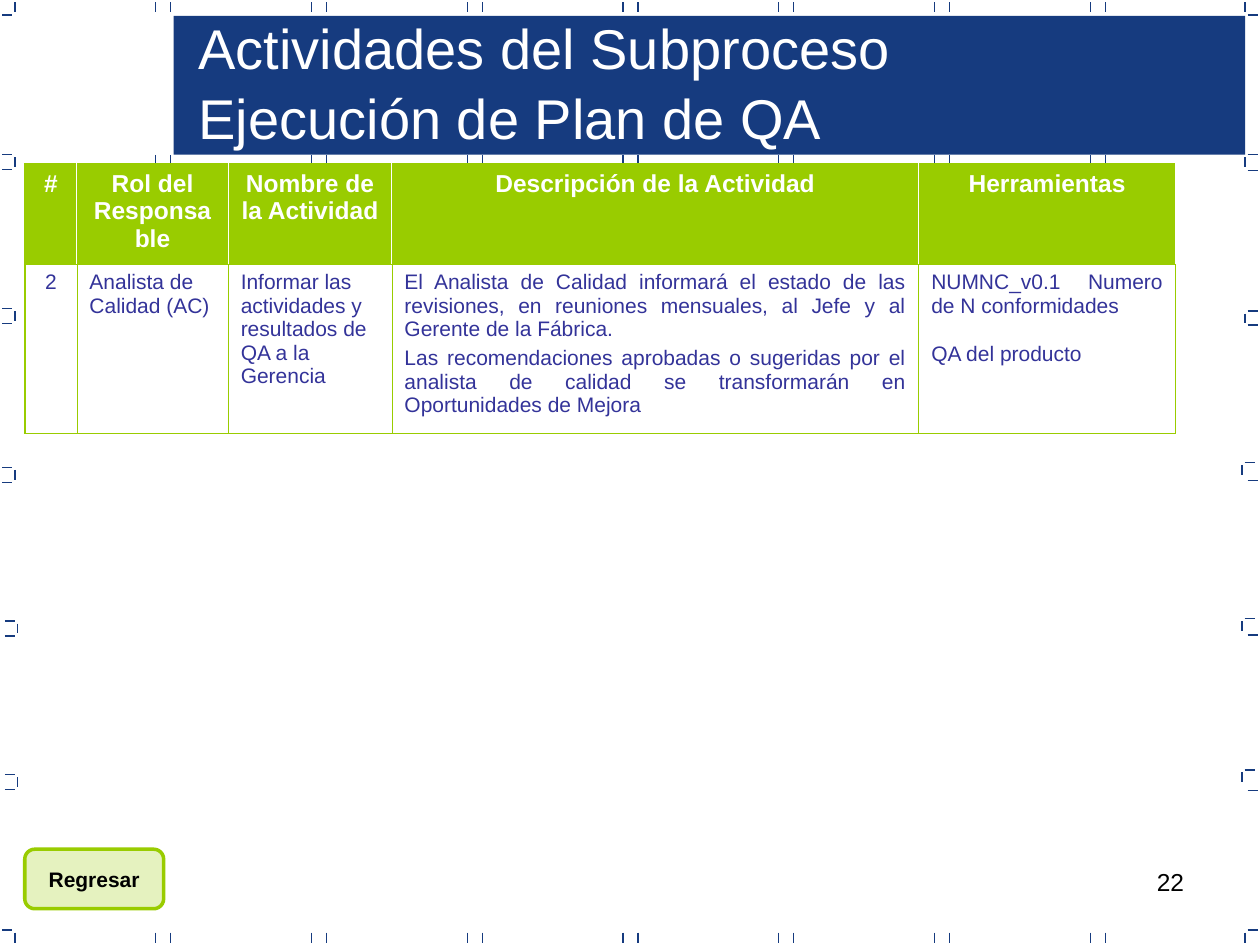
from lxml import etree
from pptx import Presentation
from pptx.dml.color import RGBColor
from pptx.enum.shapes import MSO_CONNECTOR, MSO_SHAPE
from pptx.enum.text import MSO_ANCHOR, MSO_AUTO_SIZE, PP_ALIGN
from pptx.oxml.ns import qn
from pptx.util import Cm, Pt

LEFT, CENTER, RIGHT, JUSTIFY = PP_ALIGN.LEFT, PP_ALIGN.CENTER, PP_ALIGN.RIGHT, PP_ALIGN.JUSTIFY
TOP, MIDDLE = MSO_ANCHOR.TOP, MSO_ANCHOR.MIDDLE
STRAIGHT = MSO_CONNECTOR.STRAIGHT
RECTANGLE, BUTTON = MSO_SHAPE.RECTANGLE, MSO_SHAPE.FLOWCHART_ALTERNATE_PROCESS
FIXED_SIZE = MSO_AUTO_SIZE.NONE

COLORS = {"navy": "163B7F", "green": "99CC00", "indigo": "333399",
          "white": "FFFFFF", "black": "000000"}

# Frame marks, in cm
TICK, GAP, PITCH = 0.2, 0.05, 3.14
MARK_WIDTH, MARK_HEIGHT = TICK + GAP, TICK + 2 * GAP
LEFT_MARKS = [(0.05, 3.12), (0.05, 6.22), (0.05, 9.42), (0.1, 12.52), (0.1, 15.62)]
RIGHT_MARKS = [(25.1, 3.12, 3.43), (25.1, 6.27, 6.55), (25.04, 9.32, 9.68),
               (25.04, 12.47, 12.8), (25.04, 15.52, 15.93)]

HEADERS = ["#", "Rol del Responsable", "Nombre de la Actividad",
           "Descripción de la Actividad", "Herramientas"]
# Lines, alignment and space between paragraphs of each body cell
ACTIVITY = [
    (["2"], CENTER, 0),
    (["Analista de Calidad (AC)"], LEFT, 0),
    (["Informar las actividades y resultados de QA a la Gerencia"], LEFT, 0),
    (["El Analista de Calidad informará el estado de las revisiones, en reuniones "
      "mensuales, al Jefe y al Gerente de la Fábrica.",
      "Las recomendaciones aprobadas o sugeridas por el analista de calidad se "
      "transformarán en Oportunidades de Mejora"], JUSTIFY, 3),
    (["NUMNC_v0.1 Numero de N conformidades", "QA del producto"], JUSTIFY, 14.2),
]


def color(name):
    return RGBColor.from_string(COLORS[name])


def write_text(frame, lines, size=12, ink="black", bold=False, align=LEFT,
               gap=0, spacing=None):
    """Write each line as a paragraph, with a gap between paragraphs."""
    for index, line in enumerate(lines):
        paragraph = frame.add_paragraph() if index else frame.paragraphs[0]
        paragraph.alignment = align
        if index and gap:
            paragraph.space_before = Pt(gap)
        if spacing:
            paragraph.line_spacing = spacing
        run = paragraph.add_run()
        run.text = line
        run.font.name = "Arial"
        run.font.size = Pt(size)
        run.font.bold = bold
        run.font.color.rgb = color(ink)


def add_tick(slide, left, top, vertical):
    width, height = (0, TICK) if vertical else (TICK, 0)
    tick = slide.shapes.add_connector(STRAIGHT, Cm(left), Cm(top),
                                      Cm(left + width), Cm(top + height))
    tick.line.color.rgb = color("navy")
    tick.line.width = Pt(0.75)
    etree.SubElement(tick._element.spPr, qn("a:effectLst"))


def add_frame_marks(slide, width, height):
    bottom = height - MARK_WIDTH
    right = width - MARK_HEIGHT
    # Tick pairs on the top and bottom edges, and brackets below the title band
    for column in range(1, 8):
        left = column * PITCH
        for x in (left, left + MARK_HEIGHT):
            for y in (GAP, bottom, 3.12):
                add_tick(slide, x, y, True)
        add_tick(slide, left + GAP, 3.38, False)
    # Corners
    for x, arm in ((MARK_HEIGHT, GAP), (right, right + GAP)):
        for y, arm_y in ((GAP, MARK_HEIGHT), (bottom, bottom - GAP)):
            add_tick(slide, x, y, True)
            add_tick(slide, arm, arm_y, False)
    # Brackets on the left and right edges
    for left, top in LEFT_MARKS:
        add_tick(slide, left + MARK_WIDTH, top + GAP, True)
        for y in (top, top + MARK_HEIGHT):
            add_tick(slide, left, y, False)
    for left, top, lower in RIGHT_MARKS:
        add_tick(slide, left, top + GAP, True)
        add_tick(slide, left + GAP, top, False)
        add_tick(slide, right + GAP, lower, False)


def add_title(slide, left, top, width, height):
    band = slide.shapes.add_shape(RECTANGLE, Cm(left), Cm(top), Cm(width), Cm(height))
    band.shadow.inherit = False
    band.fill.solid()
    band.fill.fore_color.rgb = color("navy")
    band.line.fill.background()
    title = slide.shapes.title
    title.left, title.top = Cm(left + 0.25), Cm(top - 0.17)
    title.width, title.height = Cm(width - 0.46), Cm(height + 0.17)
    frame = title.text_frame
    frame.word_wrap = True
    frame.auto_size = FIXED_SIZE
    frame.vertical_anchor = MIDDLE
    write_text(frame, ["Actividades del Subproceso", "Ejecución de Plan de QA"],
               size=32, ink="white", spacing=1.04)
    # Bring the title in front of its band
    title._element.getparent().append(title._element)


def set_borders(cell, **sides):
    """Set cell borders from (colour, points) pairs; sides are L, R, T and B."""
    properties = cell._tc.get_or_add_tcPr()
    for side in "LRTB":
        name, points = sides[side]
        line = etree.SubElement(properties, qn(f"a:ln{side}"), w=str(Pt(points)))
        fill = etree.SubElement(line, qn("a:solidFill"))
        etree.SubElement(fill, qn("a:srgbClr"), val=COLORS[name])


def add_activity_table(slide, left, top, column_widths, row_heights):
    shape = slide.shapes.add_table(2, len(column_widths), Cm(left), Cm(top),
                                   Cm(sum(column_widths)), Cm(sum(row_heights)))
    table = shape.table
    for column, width in zip(table.columns, column_widths):
        column.width = Cm(width)
    for row, height in zip(table.rows, row_heights):
        row.height = Cm(height)
    outer, middle, inner = ("green", 1.08), ("green", 0.75), ("green", 0.45)
    divider = ("white", 0.75)
    for index, (header, (lines, align, gap)) in enumerate(zip(HEADERS, ACTIVITY)):
        cell = table.cell(0, index)
        set_borders(cell, L=divider if index else outer, R=divider, T=outer, B=middle)
        cell.fill.solid()
        cell.fill.fore_color.rgb = color("green")
        write_text(cell.text_frame, [header], size=14, ink="white", bold=True, align=CENTER)
        cell = table.cell(1, index)
        set_borders(cell, L=inner if index else outer, R=inner, T=middle, B=outer)
        cell.fill.background()
        write_text(cell.text_frame, lines, ink="indigo", align=align, gap=gap)


def add_return_button(slide, left, top, width, height):
    button = slide.shapes.add_shape(BUTTON, Cm(left), Cm(top), Cm(width), Cm(height))
    button.shadow.inherit = False
    button.fill.solid()
    button.fill.fore_color.rgb = color("green")
    tint = button._element.spPr.find(qn("a:solidFill"))[0]
    etree.SubElement(tint, qn("a:alpha"), val="25000")
    button.line.color.rgb = color("green")
    button.line.width = Pt(2)
    button.text_frame.word_wrap = False
    button.text_frame.vertical_anchor = MIDDLE
    write_text(button.text_frame, ["Regresar"], bold=True, align=CENTER)


def add_page_number(slide, left, top, width, height):
    box = slide.shapes.add_textbox(Cm(left), Cm(top), Cm(width), Cm(height))
    box.text_frame.word_wrap = True
    box.text_frame.vertical_anchor = TOP
    write_text(box.text_frame, ["22"], size=14, align=RIGHT)


def main():
    presentation = Presentation()
    presentation.slide_width, presentation.slide_height = Cm(25.4), Cm(19.05)
    slide = presentation.slides.add_slide(presentation.slide_layouts[5])
    add_frame_marks(slide, 25.4, 19.05)
    add_title(slide, 3.5, 0.32, 21.6, 2.8)
    add_activity_table(slide, 0.5, 3.3, [1.05, 3.05, 3.3, 10.62, 5.18], [2.03, 3.41])
    add_return_button(slide, 0.5, 17.12, 2.8, 1.2)
    add_page_number(slide, 18.2, 17.35, 5.92, 1.32)
    presentation.save("out.pptx")


if __name__ == "__main__":
    main()
